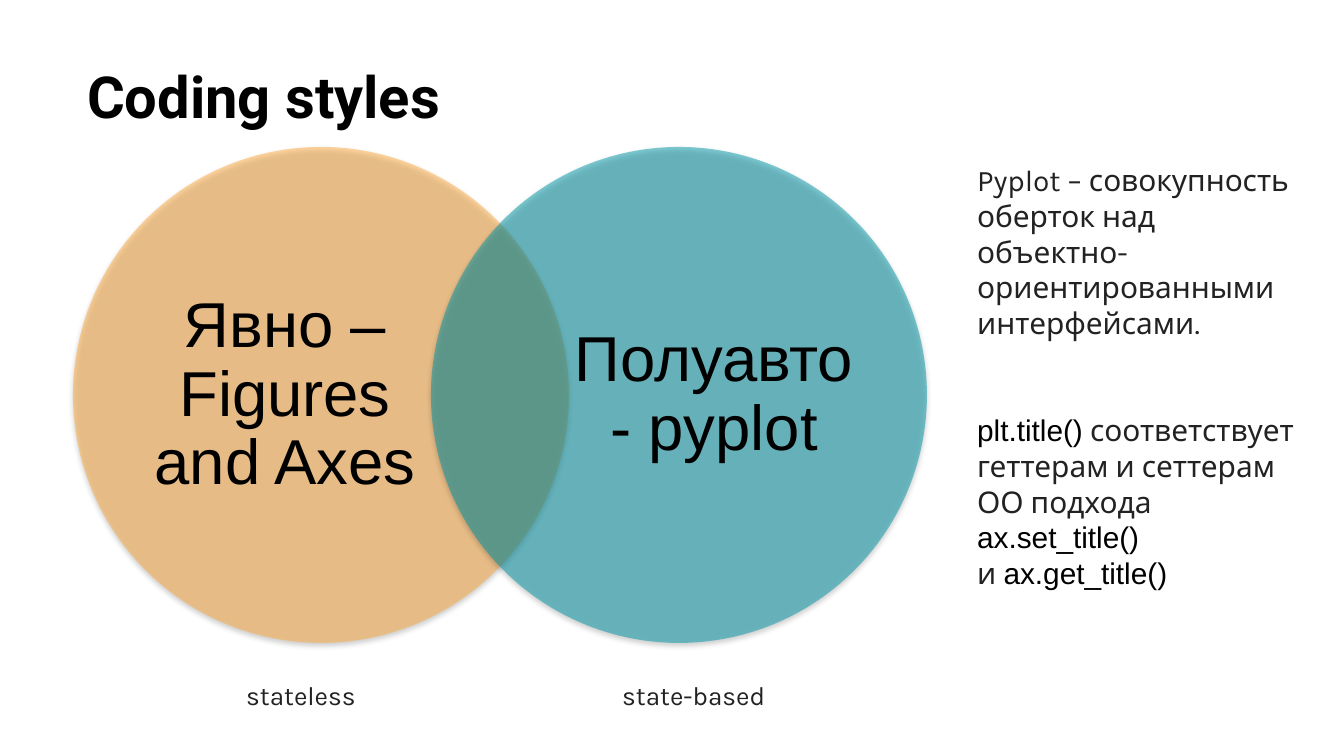
from dataclasses import dataclass

from lxml.etree import SubElement
from pptx import Presentation
from pptx.dml.color import RGBColor
from pptx.enum.shapes import MSO_SHAPE
from pptx.enum.text import MSO_ANCHOR, MSO_AUTO_SIZE, PP_ALIGN
from pptx.oxml.ns import qn
from pptx.util import Emu, Pt


@dataclass(frozen=True)
class Theme:
    black: str = "000000"
    ink: str = "222222"
    amber: str = "FFAB40"
    teal: str = "0097A7"
    head: str = "Roboto"
    body: str = "Karla"
    code: str = "Arial"
    title: int = 31
    large: int = 34
    note: int = 16
    small: int = 14


THEME = Theme()
SCALE = 914400 / 134.4
DISC = 496


def px(*sizes):
    return [Emu(round(size * SCALE)) for size in sizes]


def style(run, face, size, color, bold=False):
    font = run.font
    font.name, font.size, font.bold = face, Pt(size), bold
    font.color.rgb = RGBColor.from_string(color)


def inset(frame, side, edge):
    frame.margin_left = frame.margin_right = px(side)[0]
    frame.margin_top = frame.margin_bottom = px(edge)[0]


def add_title(slide, text):
    title = slide.shapes.title
    title.left, title.top, title.width, title.height = px(74, 48, 1253, 144)
    frame = title.text_frame
    frame.text = text
    frame.auto_size = MSO_AUTO_SIZE.NONE
    frame.vertical_anchor = MSO_ANCHOR.TOP
    inset(frame, 13, 13)
    line = frame.paragraphs[0]
    line.alignment = PP_ALIGN.LEFT
    style(line.runs[0], THEME.head, THEME.title, THEME.black, True)


def add_box(slide, left, top, width, height):
    frame = slide.shapes.add_textbox(*px(left, top, width, height)).text_frame
    frame.word_wrap = True
    return frame


def add_disc(slide, left, top, color):
    disc = slide.shapes.add_shape(MSO_SHAPE.OVAL, *px(left, top, DISC, DISC))
    disc.fill.solid()
    disc.fill.fore_color.rgb = RGBColor.from_string(color)
    disc.line.fill.background()
    disc.shadow.inherit = False
    props = disc.element.spPr
    tint = props.find(qn("a:solidFill"))[0]
    SubElement(tint, qn("a:alpha"), val="50000")
    shade = SubElement(
        props.find(qn("a:effectLst")), qn("a:outerShdw"),
        blurRad=str(Pt(3.1)), dist=str(Pt(1.6)), dir="5400000", rotWithShape="0",
    )
    black = SubElement(shade, qn("a:srgbClr"), val=THEME.black)
    SubElement(black, qn("a:alpha"), val="38000")


def add_label(slide, left, text):
    frame = add_box(slide, left, 206, 286, 379)
    frame.text = text
    frame.vertical_anchor = MSO_ANCHOR.MIDDLE
    inset(frame, 0, 0)
    line = frame.paragraphs[0]
    line.alignment = PP_ALIGN.CENTER
    line.line_spacing = 0.9
    style(line.runs[0], THEME.code, THEME.large, THEME.black)


def add_caption(slide, left, text):
    frame = add_box(slide, left, 673, 181, 46)
    frame.text = text
    style(frame.paragraphs[0].runs[0], THEME.body, THEME.small, THEME.ink)


def add_parts(line, parts):
    for text, code in parts:
        run = line.add_run()
        run.text = text
        face, color = (THEME.code, THEME.black) if code else (THEME.body, THEME.ink)
        style(run, face, THEME.note, color)


def add_notes(slide):
    frame = add_box(slide, 964, 155, 345, 375)
    add_parts(frame.paragraphs[0], [
        ("Pyplot – совокупность оберток над объектно-ориентированными интерфейсами.", False),
    ])
    line = frame.add_paragraph()
    line.space_before = Pt(38)
    add_parts(line, [
        ("plt.title()", True),
        (" соответствует геттерам и сеттерам ОО подхода  ", False),
        ("ax.set_title() ", True),
    ])
    line.add_line_break()
    add_parts(line, [("и ", False), ("ax.get_title()", True)])


def main():
    """Build the slide on coding styles and save it."""
    deck = Presentation()
    deck.slide_width, deck.slide_height = px(1344, 756)
    slide = deck.slides.add_slide(deck.slide_layouts[5])
    add_title(slide, "Coding styles")
    for left, inner, color, text in (
        (73, 142, THEME.amber, "Явно – Figures and Axes"),
        (431, 571, THEME.teal, "Полуавто - pyplot"),
    ):
        add_disc(slide, left, 147, color)
        add_label(slide, inner, text)
    add_caption(slide, 609, "state-based")
    add_caption(slide, 233, "stateless")
    add_notes(slide)
    deck.save("out.pptx")


if __name__ == "__main__":
    main()
